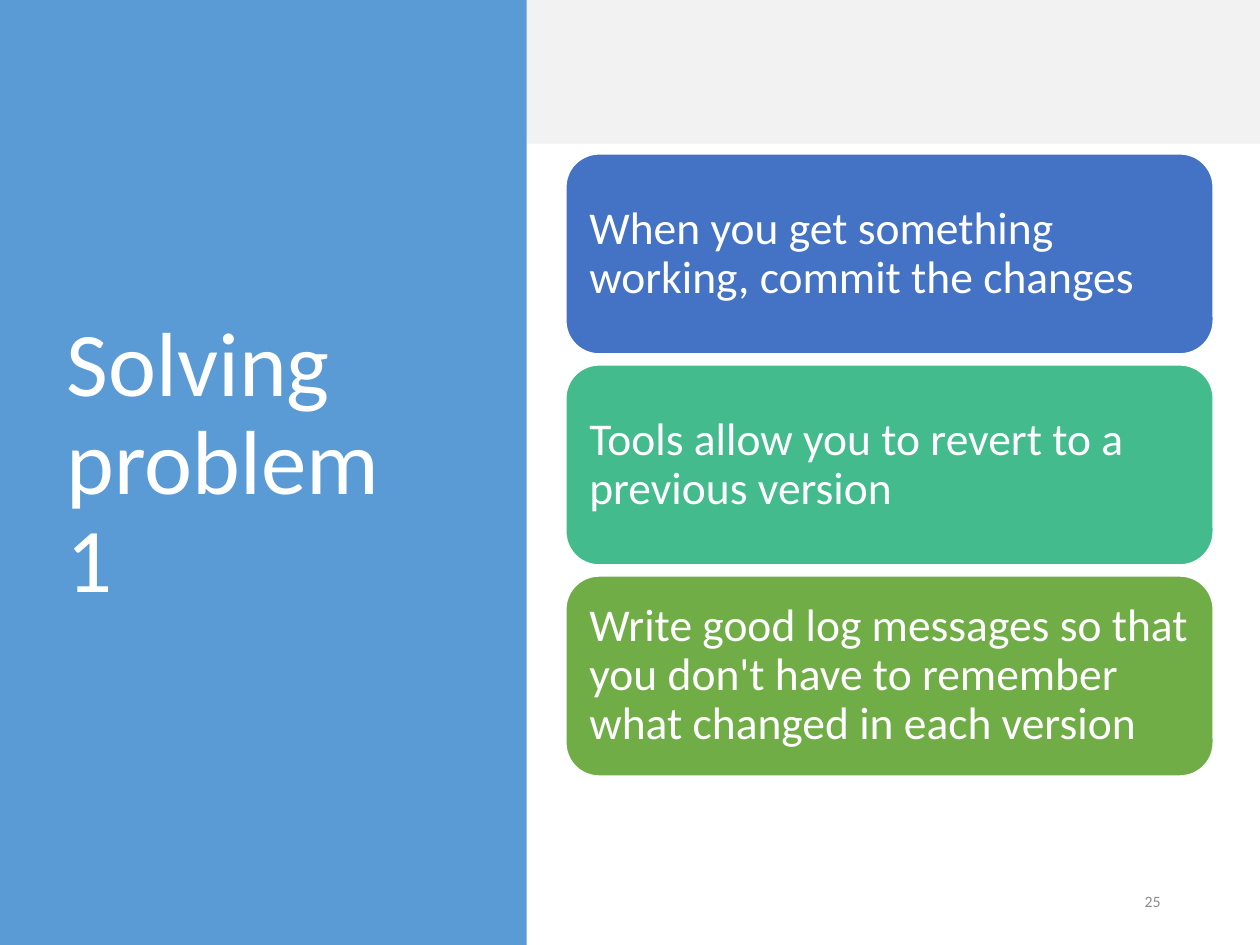
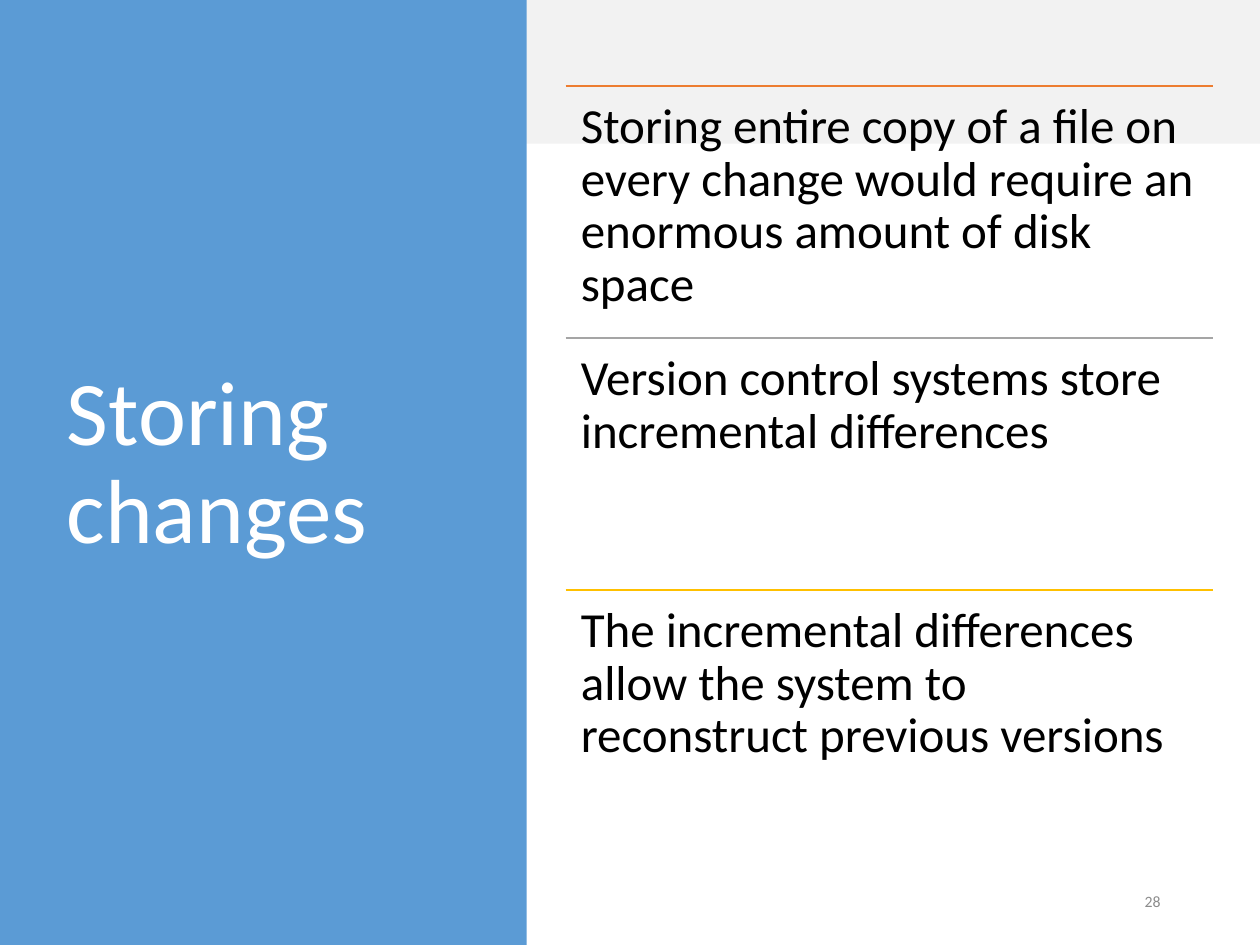
import pptx
import pptx.util
import pptx.dml.color
import pptx.enum.shapes
import pptx.enum.text
import pptx.oxml

Inches = pptx.util.Inches
MSO_SHAPE = pptx.enum.shapes.MSO_SHAPE
ALIGN = pptx.enum.text.PP_ALIGN
ANCHOR = pptx.enum.text.MSO_ANCHOR

WIDTH, HEIGHT = 10, 7.5
PANEL_WIDTH = 4.18
COLUMN_LEFT, COLUMN_WIDTH = 4.49, 5.14
CARD_TOP, CARD_HEIGHT, CARD_PITCH = 1.22, 1.59, 1.675
ROW_TOP, ROW_HEIGHT = 0.68, 2.0
BLUE, GRAY, WHITE, BLACK = "5B9BD5", "F2F2F2", "FFFFFF", "000000"
NUMBER_GRAY = "8C8C8C"


def rgb(value):
    return pptx.dml.color.RGBColor.from_string(value)


def write(sp, text, size, color, align=ALIGN.LEFT, anchor=ANCHOR.MIDDLE,
          spacing=0.9, margins=(0.1, 0.05)):
    """Set the text of a shape; margins are horizontal and vertical inches."""
    tf = sp.text_frame
    tf.word_wrap = True
    tf.auto_size = pptx.enum.text.MSO_AUTO_SIZE.NONE
    tf.vertical_anchor = anchor
    tf.margin_left = tf.margin_right = Inches(margins[0])
    tf.margin_top = tf.margin_bottom = Inches(margins[1])
    p = tf.paragraphs[0]
    p.alignment = align
    p.line_spacing = spacing
    r = p.add_run()
    r.text = text
    r.font.name = "Calibri"
    r.font.size = pptx.util.Pt(size)
    r.font.color.rgb = rgb(color)


prs = pptx.Presentation()
prs.slide_width, prs.slide_height = Inches(WIDTH), Inches(HEIGHT)
title_only = prs.slide_layouts[5]

# Shared frame: top band, side panel, title and slide number
slides = []
for title, number in [("Solving problem 1", "25"), ("Storing changes", "28")]:
    s = prs.slides.add_slide(title_only)
    for width, height, color in [(WIDTH, 1.14, GRAY), (PANEL_WIDTH, HEIGHT, BLUE)]:
        band = s.shapes.add_shape(MSO_SHAPE.RECTANGLE, 0, 0, Inches(width), Inches(height))
        band.shadow.inherit = False
        band.fill.solid()
        band.fill.fore_color.rgb = rgb(color)
        band.line.fill.background()
        s.shapes.title.element.addprevious(band.element)

    heading = s.shapes.title
    heading.left, heading.top = Inches(0.43), Inches(0.68)
    heading.width, heading.height = Inches(3.12), Inches(6.02)
    write(heading, title, 52, WHITE)

    footer = s.shapes.add_textbox(Inches(7.06), Inches(6.95), Inches(2.25), Inches(0.4))
    write(footer, number, 9, NUMBER_GRAY, align=ALIGN.RIGHT, spacing=1.0)
    slides.append(s)

solving, storing = slides

# Slide 1: stacked cards
cards = [
    ("When you get something working, commit the changes", "4472C4"),
    ("Tools allow you to revert to a previous version", "43BB8D"),
    ("Write good log messages so that you don't have to remember "
     "what changed in each version", "70AD47"),
]
for i, (text, color) in enumerate(cards):
    card = solving.shapes.add_shape(
        MSO_SHAPE.ROUNDED_RECTANGLE, Inches(COLUMN_LEFT), Inches(CARD_TOP + i * CARD_PITCH),
        Inches(COLUMN_WIDTH), Inches(CARD_HEIGHT))
    card.shadow.inherit = False
    card.fill.solid()
    card.fill.fore_color.rgb = rgb(color)
    card.line.color.rgb = rgb(WHITE)
    card.line.width = pptx.util.Pt(1)
    write(card, text, 26, WHITE, margins=(0.11, 0.11))

# Slide 2: ruled rows
rows = [
    ("Storing entire copy of a file on every change would require "
     "an enormous amount of disk space", "ED7D31"),
    ("Version control systems store incremental differences", "A5A5A5"),
    ("The incremental differences allow the system to reconstruct "
     "previous versions", "FFC000"),
]
for i, (text, color) in enumerate(rows):
    left, top = Inches(COLUMN_LEFT), Inches(ROW_TOP + i * ROW_HEIGHT)
    rule = storing.shapes.add_connector(
        pptx.enum.shapes.MSO_CONNECTOR.STRAIGHT, left, top, left + Inches(COLUMN_WIDTH), top)
    rule.line.color.rgb = rgb(color)
    rule.line.width = pptx.util.Pt(1)
    rule.element.spPr.append(pptx.oxml.parse_xml(
        '<a:effectLst xmlns:a="http://schemas.openxmlformats.org/drawingml/2006/main"/>'))
    row = storing.shapes.add_textbox(left, top, Inches(COLUMN_WIDTH), Inches(ROW_HEIGHT))
    write(row, text, 28, BLACK, anchor=ANCHOR.TOP, margins=(0.12, 0.12))

prs.save("out.pptx")
